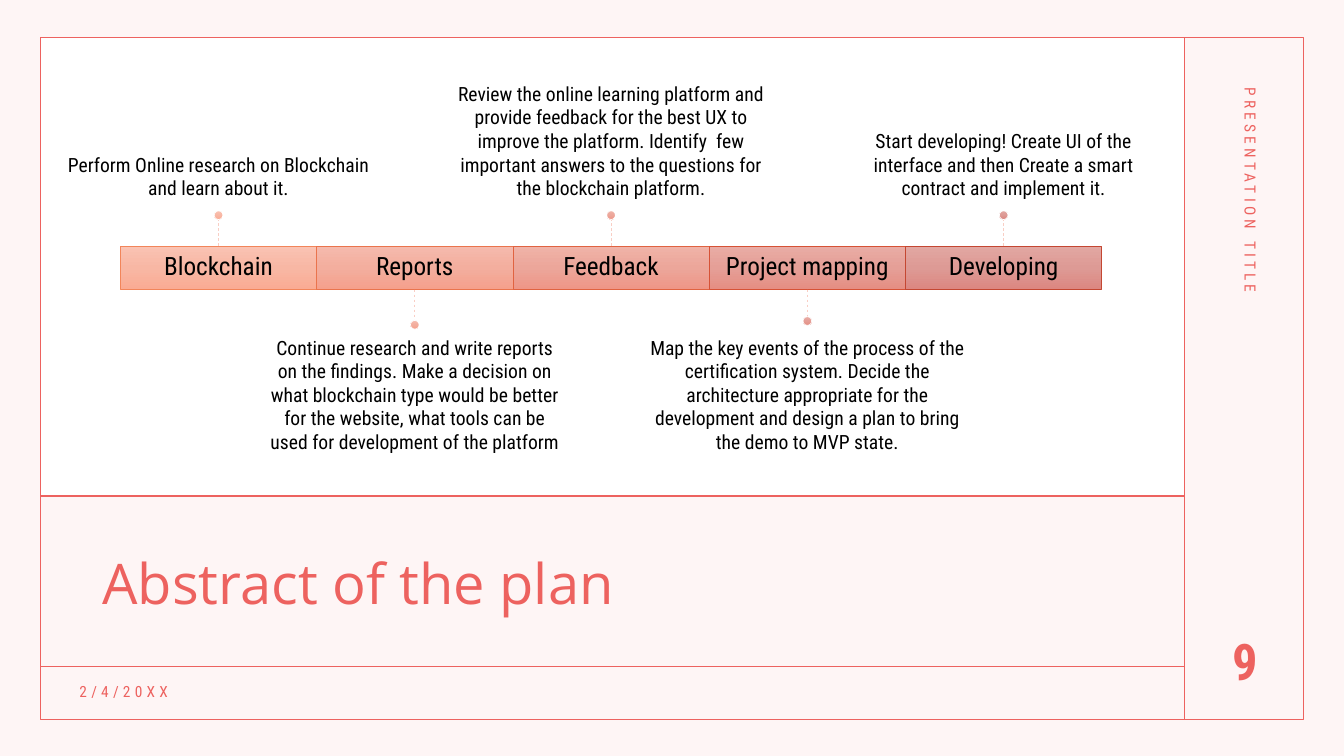
from copy import deepcopy

from lxml.etree import SubElement
from pptx import Presentation
from pptx.dml.color import RGBColor
from pptx.enum.dml import MSO_LINE
from pptx.enum.shapes import MSO_CONNECTOR, MSO_SHAPE
from pptx.enum.text import MSO_ANCHOR, PP_ALIGN
from pptx.oxml.ns import qn
from pptx.util import Pt

# Content: label, description, side, description width, dot centre, gradient, outline
STEPS = [
    ("Blockchain", "Perform Online research on Blockchain and learn about it.",
     "above", 233.3, 153.7, ("FAC3B3", "F8B7A4", "FAAB93"), "F2855A"),
    ("Reports", "Continue research and write reports on the findings. Make a decision on "
     "what blockchain type would be better for the website, what tools can be used for "
     "development of the platform",
     "below", 220.3, 232, ("F5BAAD", "F3AE9E", "F5A08C"), "EA744D"),
    ("Feedback", "Review the online learning platform and provide feedback for the best UX to "
     "improve the platform. Identify  few important answers to the questions for the "
     "blockchain platform.",
     "above", 233.3, 153.7, ("F0B3A8", "ECA69A", "EE9687"), "E06341"),
    ("Project mapping", "Map the key events of the process of the certification system. Decide "
     "the architecture appropriate for the development and design a plan to bring the demo "
     "to MVP state.",
     "below", 233.3, 229.3, ("E9ACA5", "E59F97", "E58E83"), "D65236"),
    ("Developing", "Start developing! Create UI of the interface and then Create a smart "
     "contract and implement it.",
     "above", 233.3, 153.7, ("E2A7A2", "DD9A95", "DC8781"), "C44732"),
]
TITLE = "Abstract of the plan"
DATE = "2/4/20XX"
SIDE_TITLE = "PRESENTATION TITLE"
PAGE_NUMBER = "9"

CORAL = RGBColor(0xED, 0x62, 0x5F)
PALE_PINK = RGBColor(0xFE, 0xF5, 0xF5)
STEM_PINK = RGBColor(0xF9, 0xCE, 0xC4)
WHITE = RGBColor(0xFF, 0xFF, 0xFF)
BLACK = RGBColor(0, 0, 0)
BODY_FONT = "Roboto Condensed"
TITLE_FONT = "Open Sans"

# Layout in points
FRAME_LEFT, FRAME_TOP, FRAME_RIGHT, FRAME_BOTTOM = 29, 26.6, 931, 513.8
SIDE_X = 846.3
PANEL_BOTTOM, DATE_RULE_Y = 354.2, 475.9
BAR_LEFT, BAR_TOP, BAR_WIDTH, BAR_HEIGHT = 86, 175.8, 140.2, 31
TEXT_TOP = {"above": 36, "below": 237.6}
TEXT_HEIGHT = 108.7
DOT_SIZE = 6.2

presentation = Presentation()
presentation.slide_width, presentation.slide_height = Pt(960), Pt(540)
slide = presentation.slides.add_slide(presentation.slide_layouts[6])
slide.background.fill.solid()
slide.background.fill.fore_color.rgb = PALE_PINK


def write(shape, text, size, color=BLACK, font=BODY_FONT, bold=False, align=PP_ALIGN.LEFT,
          anchor=MSO_ANCHOR.TOP, insets=(7.2, 3.6), line_spacing=1.0, tracking=0):
    frame = shape.text_frame
    frame.word_wrap = True
    frame.vertical_anchor = anchor
    frame.margin_left = frame.margin_right = Pt(insets[0])
    frame.margin_top = frame.margin_bottom = Pt(insets[1])
    frame.text = text
    paragraph = frame.paragraphs[0]
    paragraph.alignment = align
    paragraph.line_spacing = line_spacing
    run = paragraph.runs[0]
    run.font.size, run.font.name, run.font.bold = Pt(size), font, bold
    run.font.color.rgb = color
    if tracking:
        run.font._element.set("spc", str(tracking * 100))


def add_text(left, top, width, height, text, size, **style):
    box = slide.shapes.add_textbox(Pt(left), Pt(top), Pt(width), Pt(height))
    write(box, text, size, **style)
    return box


def add_shape(kind, left, top, width, height, line_color=None, line_width=0.5):
    shape = slide.shapes.add_shape(kind, Pt(left), Pt(top), Pt(width), Pt(height))
    shape.shadow.inherit = False
    if line_color is None:
        shape.line.fill.background()
    else:
        shape.line.color.rgb = line_color
        shape.line.width = Pt(line_width)
    return shape


def add_line(x1, y1, x2, y2, color, width):
    line = slide.shapes.add_connector(MSO_CONNECTOR.STRAIGHT, Pt(x1), Pt(y1), Pt(x2), Pt(y2))
    line.line.color.rgb = color
    line.line.width = Pt(width)
    SubElement(line._element.spPr, qn("a:effectLst"))
    return line


def fill_downward(shape, colors):
    shape.fill.gradient()
    shape.fill.gradient_angle = 270
    stop_list = shape._element.spPr.find(qn("a:gradFill")).find(qn("a:gsLst"))
    stop_list.insert(1, deepcopy(stop_list[0]))
    for stop, position, color in zip(shape.fill.gradient_stops, (0, 0.5, 1), colors):
        stop.position = position
        stop.color.rgb = RGBColor.from_string(color)


# White panel, rules and frame
panel = add_shape(MSO_SHAPE.RECTANGLE, FRAME_LEFT, FRAME_TOP,
                  SIDE_X - FRAME_LEFT, PANEL_BOTTOM - FRAME_TOP)
panel.fill.solid()
panel.fill.fore_color.rgb = WHITE
add_line(SIDE_X, FRAME_TOP, SIDE_X, FRAME_BOTTOM, CORAL, 1)
for rule_y in (PANEL_BOTTOM, DATE_RULE_Y):
    add_line(FRAME_LEFT, rule_y, SIDE_X, rule_y, CORAL, 1)
border = add_shape(MSO_SHAPE.RECTANGLE, FRAME_LEFT, FRAME_TOP, FRAME_RIGHT - FRAME_LEFT,
                   FRAME_BOTTOM - FRAME_TOP, CORAL, 1)
border.fill.background()

# Title, date, side title and page number
add_text(66.2, 378, 742.3, 82.1, TITLE, 40, color=CORAL, font=TITLE_FONT,
         anchor=MSO_ANCHOR.MIDDLE, line_spacing=0.9)
add_text(49.7, 483.8, 248.4, 22.3, DATE, 11, color=CORAL, tracking=3)
side_title = add_text(727.2, 203, 324, 28.8, SIDE_TITLE, 11, color=CORAL, tracking=3)
side_title.rotation = 90
add_text(851.8, 446.4, 74.9, 59.8, PAGE_NUMBER, 36, color=CORAL, bold=True,
         align=PP_ALIGN.CENTER)

# Timeline
for index, (label, description, side, text_width, dot_y, colors, outline) in enumerate(STEPS):
    bar_left = BAR_LEFT + index * BAR_WIDTH
    center = bar_left + BAR_WIDTH / 2
    above = side == "above"

    bar = add_shape(MSO_SHAPE.RECTANGLE, bar_left, BAR_TOP, BAR_WIDTH, BAR_HEIGHT,
                    RGBColor.from_string(outline))
    fill_downward(bar, colors)
    write(bar, label, 18, align=PP_ALIGN.CENTER, anchor=MSO_ANCHOR.MIDDLE,
          insets=(2.2, 0), line_spacing=0.9)

    add_text(center - text_width / 2, TEXT_TOP[side], text_width, TEXT_HEIGHT, description, 14,
             align=PP_ALIGN.CENTER, anchor=MSO_ANCHOR.BOTTOM if above else MSO_ANCHOR.TOP,
             insets=(4.3, 2.2))

    bar_edge = BAR_TOP if above else BAR_TOP + BAR_HEIGHT
    stem = add_line(center, bar_edge, center, dot_y, STEM_PINK, 0.5)
    stem.line.dash_style = MSO_LINE.DASH
    stem.begin_connect(bar, 0 if above else 2)

    dot = add_shape(MSO_SHAPE.OVAL, center - DOT_SIZE / 2, dot_y - DOT_SIZE / 2,
                    DOT_SIZE, DOT_SIZE, WHITE)
    fill_downward(dot, colors)

presentation.save("out.pptx")
